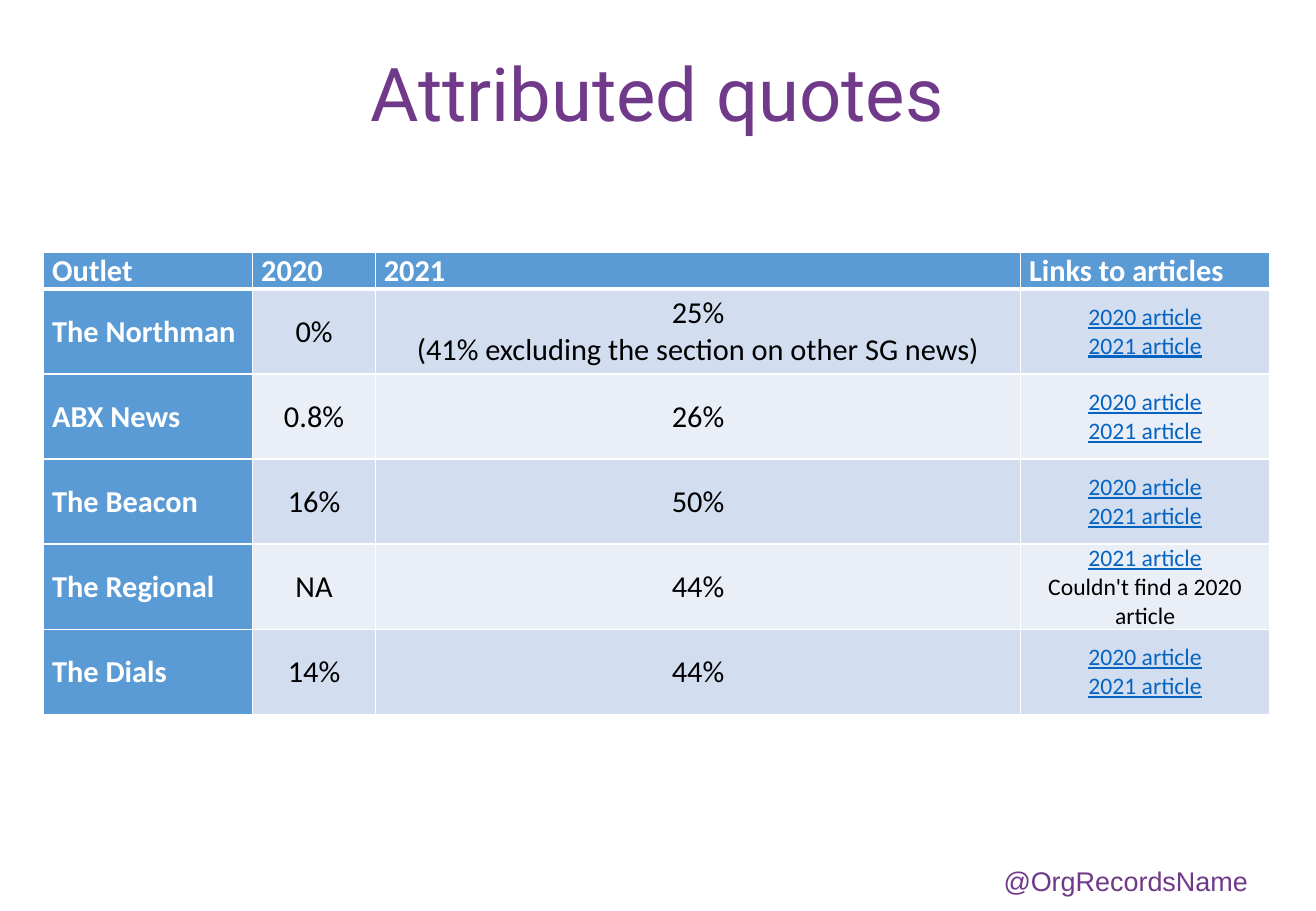
from lxml import etree
from pptx import Presentation
from pptx import util as u
from pptx.dml.color import RGBColor
from pptx.enum import text
from pptx.oxml import ns

PURPLE = RGBColor(0x70, 0x39, 0x89)
BLUE = RGBColor(0x5B, 0x9B, 0xD5)
BANDS = [RGBColor(0xD2, 0xDE, 0xEF), RGBColor(0xEA, 0xEF, 0xF7)]
LINK = RGBColor(0x05, 0x63, 0xC1)
WHITE = RGBColor(0xFF, 0xFF, 0xFF)
BLACK = RGBColor(0, 0, 0)

COLUMN_WIDTHS = [1.72, 1.01, 5.31, 2.05]
HEADER_HEIGHT, ROW_HEIGHT = 0.3, 0.7
LINKS = "2020 article\n2021 article"
ROWS = [
    ["Outlet", "2020", "2021", "Links to articles"],
    ["The Northman", "0%", "25%\n(41% excluding the section on other SG news)", LINKS],
    ["ABX News", "0.8%", "26%", LINKS],
    ["The Beacon", "16%", "50%", LINKS],
    ["The Regional", "NA", "44%", "2021 article\nCouldn't find a 2020 article"],
    ["The Dials", "14%", "44%", LINKS],
]


def write(frame, content, size=18, color=BLACK, font="Calibri", bold=False,
          align=text.PP_ALIGN.LEFT, anchor=text.MSO_ANCHOR.TOP, links=False):
    """Fill a text frame, one paragraph per line; links marks article lines."""
    frame.word_wrap = True
    frame.vertical_anchor = anchor
    for index, line in enumerate(content.split("\n")):
        paragraph = frame.paragraphs[0] if index == 0 else frame.add_paragraph()
        paragraph.alignment = align
        run = paragraph.add_run()
        run.text = line
        is_link = links and line.startswith("20")
        run.font.name, run.font.size, run.font.bold = font, u.Pt(size), bold
        run.font.color.rgb = LINK if is_link else color
        run.font.underline = is_link


def add_borders(cell, bottom, top):
    """Draw white cell borders; bottom and top are widths in points."""
    properties = cell._tc.get_or_add_tcPr()
    for side, width in {"lnL": 1, "lnR": 1, "lnT": top, "lnB": bottom}.items():
        line = etree.SubElement(properties, ns.qn(f"a:{side}"), w=str(u.Pt(width)))
        fill = etree.SubElement(line, ns.qn("a:solidFill"))
        etree.SubElement(fill, ns.qn("a:srgbClr"), val=str(WHITE))


presentation = Presentation()
presentation.slide_width, presentation.slide_height = u.Inches(10.83), u.Inches(7.5)
slide = presentation.slides.add_slide(presentation.slide_layouts[5])

# Account name at the bottom right
handle = slide.shapes.add_textbox(u.Inches(8.16), u.Inches(7.07), u.Inches(2.25), u.Inches(0.37))
write(handle.text_frame, "@OrgRecordsName", size=16, color=PURPLE, font="Arial")
handle.text_frame.paragraphs[0].space_before = u.Pt(3.9)

# Title
title = slide.shapes.title
title.left, title.top = u.Inches(0.74), u.Inches(0.42)
title.width, title.height = u.Inches(9.34), u.Inches(0.77)
write(title.text_frame, "Attributed quotes", size=44, color=PURPLE, font="Roboto",
      align=text.PP_ALIGN.CENTER, anchor=text.MSO_ANCHOR.MIDDLE)
title.text_frame.paragraphs[0].line_spacing = 0.9

# Table of quote shares by outlet
table_height = HEADER_HEIGHT + ROW_HEIGHT * (len(ROWS) - 1)
table = slide.shapes.add_table(
    len(ROWS), len(COLUMN_WIDTHS), u.Inches(0.36), u.Inches(2.08),
    u.Inches(sum(COLUMN_WIDTHS)), u.Inches(table_height)).table
table.first_col = True
for column, width in zip(table.columns, COLUMN_WIDTHS):
    column.width = u.Inches(width)

for row_index, values in enumerate(ROWS):
    is_header = row_index == 0
    table.rows[row_index].height = u.Inches(HEADER_HEIGHT if is_header else ROW_HEIGHT)
    for column_index, value in enumerate(values):
        cell = table.cell(row_index, column_index)
        is_label = is_header or column_index == 0
        is_links = not is_header and column_index == 3
        cell.margin_left = cell.margin_right = u.Inches(0.07)
        cell.margin_top = cell.margin_bottom = 0
        add_borders(cell, bottom=3 if is_header else 1, top=3 if row_index == 1 else 1)
        cell.fill.solid()
        cell.fill.fore_color.rgb = BLUE if is_label else BANDS[(row_index - 1) % 2]
        write(cell.text_frame, value, size=14 if is_links else 18,
              color=WHITE if is_label else BLACK, bold=is_label, links=is_links,
              align=text.PP_ALIGN.LEFT if is_label else text.PP_ALIGN.CENTER)
        cell.vertical_anchor = text.MSO_ANCHOR.TOP if is_header else text.MSO_ANCHOR.MIDDLE

presentation.save("out.pptx")
